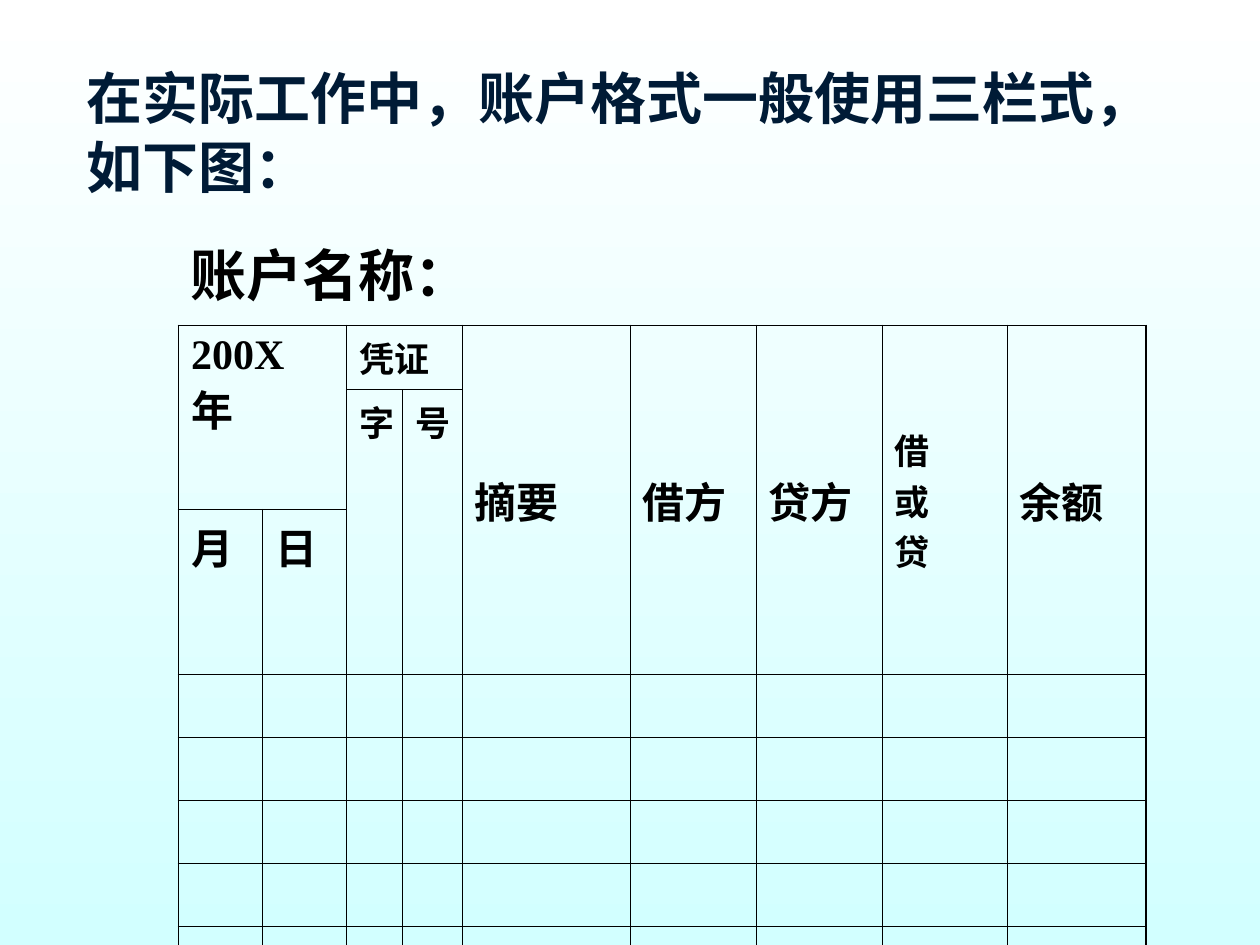
import pptx
import pptx.dml.color
import pptx.enum.text
import pptx.oxml
import pptx.oxml.ns
import pptx.util

COLUMN_WIDTHS = [8, 8, 5.33, 5.7, 16, 12, 12, 11.9, 13.2]
ROW_HEIGHTS = [6.1, 11.4, 15.7] + [6] * 6
TOP, MIDDLE = pptx.enum.text.MSO_ANCHOR.TOP, pptx.enum.text.MSO_ANCHOR.MIDDLE
HEADERS = [
    (0, 0, 2, 2, "200X年", 24, TOP),
    (0, 2, 1, 2, "凭证", 20, TOP),
    (0, 4, 3, 1, "摘要", 24, MIDDLE),
    (0, 5, 3, 1, "借方", 24, MIDDLE),
    (0, 6, 3, 1, "贷方", 24, MIDDLE),
    (0, 7, 3, 1, "借\n或\n贷", 20, MIDDLE),
    (0, 8, 3, 1, "余额", 24, MIDDLE),
    (1, 2, 2, 1, "字", 20, TOP),
    (1, 3, 2, 1, "号", 20, TOP),
    (2, 0, 1, 1, "月", 24, TOP),
    (2, 1, 1, 1, "日", 24, TOP),
]


def color(value):
    return pptx.dml.color.RGBColor.from_string(value)


class LedgerSlide:
    ink = "000000"
    title_ink = "001B36"
    outer_line = 1.08
    inner_line = 0.45

    def __init__(self, deck):
        self.column = deck.slide_width / 120
        self.row = deck.slide_height / 90
        self.page = deck.slides.add_slide(deck.slide_layouts[5])

    def place(self, left, top, width, height):
        return (round(left * self.column), round(top * self.row),
                round(width * self.column), round(height * self.row))

    def background(self, start, end):
        fill = self.page.background.fill
        fill.gradient()
        fill.gradient_angle = 270
        for stop, value in zip(fill.gradient_stops, (start, end)):
            stop.color.rgb = color(value)

    def set_text(self, frame, text, font, size, ink):
        frame.text = text
        for para in frame.paragraphs:
            para.alignment = pptx.enum.text.PP_ALIGN.LEFT
            for span in para.runs:
                span.font.name = font
                span.font.size = pptx.util.Pt(size)
                span.font.bold = True
                span.font.color.rgb = color(ink)

    def title(self, text, *area):
        box = self.page.shapes.title
        box.left, box.top, box.width, box.height = self.place(*area)
        frame = box.text_frame
        frame.word_wrap = True
        frame.vertical_anchor = MIDDLE
        self.set_text(frame, text, "Roboto", 32, self.title_ink)
        frame.paragraphs[0].line_spacing = pptx.util.Pt(39)

    def label(self, text, *area):
        frame = self.page.shapes.add_textbox(*self.place(*area)).text_frame
        frame.word_wrap = True
        self.set_text(frame, text, "Cambria", 32, self.ink)
        frame.paragraphs[0].line_spacing = 0.9

    def border(self, cell, side, width):
        line = pptx.oxml.parse_xml(
            f'<a:{side} {pptx.oxml.ns.nsdecls("a")} w="{pptx.util.Pt(width)}">'
            f'<a:solidFill><a:srgbClr val="{self.ink}"/></a:solidFill></a:{side}>')
        cell._tc.get_or_add_tcPr().append(line)

    def ledger(self, left, top, widths, heights, headers):
        area = self.place(left, top, sum(widths), sum(heights))
        table = self.page.shapes.add_table(len(heights), len(widths), *area).table
        table.first_row = table.horz_banding = False
        for column, width in zip(table.columns, widths):
            column.width = round(width * self.column)
        for row, height in zip(table.rows, heights):
            row.height = round(height * self.row)
        for r in range(len(heights)):
            for c in range(len(widths)):
                cell = table.cell(r, c)
                edges = {"lnL": c == 0, "lnR": c == len(widths) - 1,
                         "lnT": r == 0, "lnB": r == len(heights) - 1}
                for side, outer in edges.items():
                    self.border(cell, side, self.outer_line if outer else self.inner_line)
                cell.fill.background()
        for r, c, down, across, text, size, anchor in headers:
            cell = table.cell(r, c)
            if down * across > 1:
                cell.merge(table.cell(r + down - 1, c + across - 1))
            self.set_text(cell.text_frame, text, "Times New Roman", size, self.ink)
            cell.vertical_anchor = anchor
        table.cell(0, 0).margin_right = pptx.util.Inches(0.25)


def main():
    deck = pptx.Presentation()
    deck.slide_width = pptx.util.Inches(10)
    deck.slide_height = pptx.util.Inches(7.5)
    slide = LedgerSlide(deck)
    slide.background("FFFFFF", "D2FFFF")
    slide.title("在实际工作中，账户格式一般使用三栏式，如下图：", 7, 5, 108, 15)
    slide.label("账户名称：", 17, 23, 102, 57)
    slide.ledger(17, 31, COLUMN_WIDTHS, ROW_HEIGHTS, HEADERS)
    deck.save("out.pptx")


if __name__ == "__main__":
    main()
